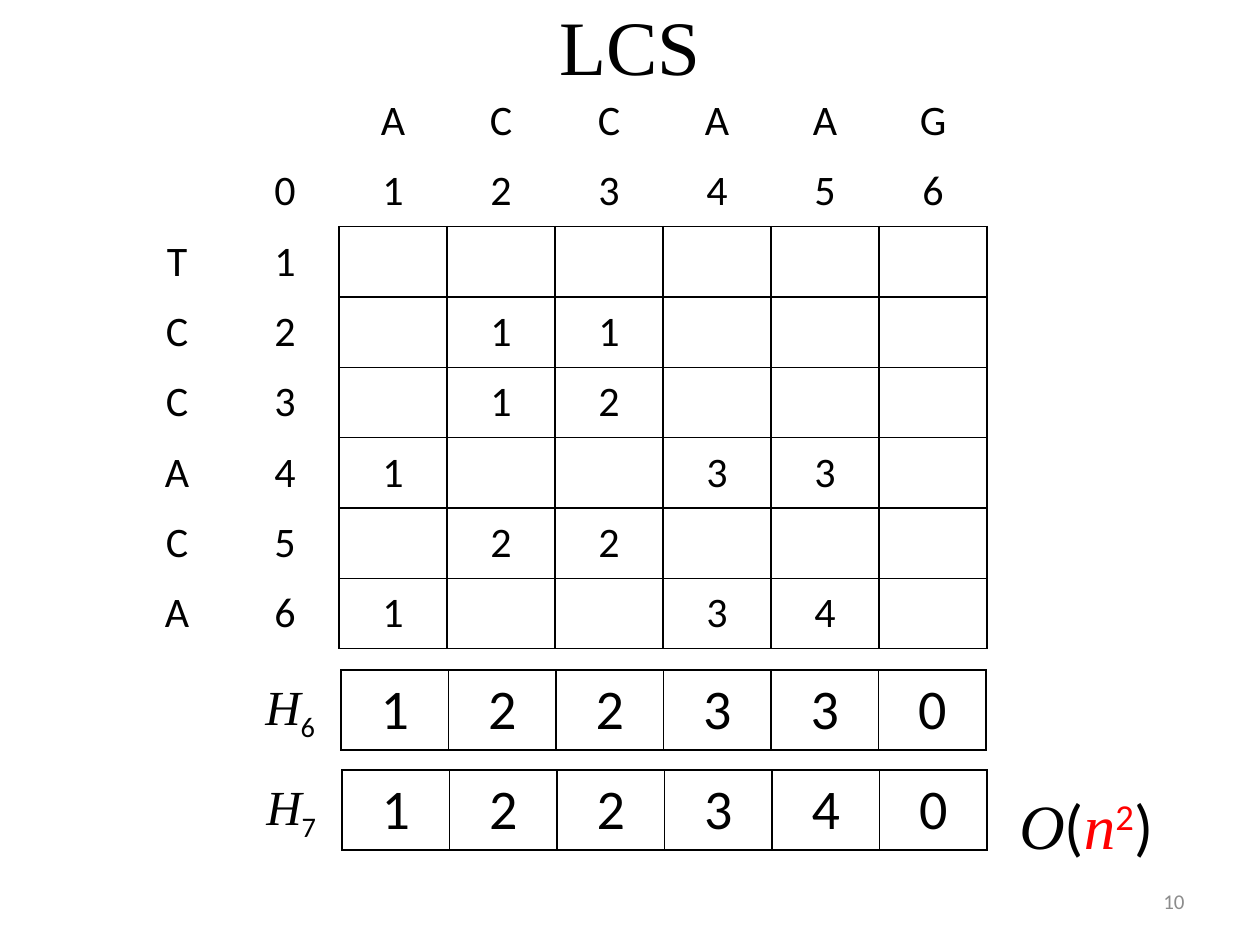
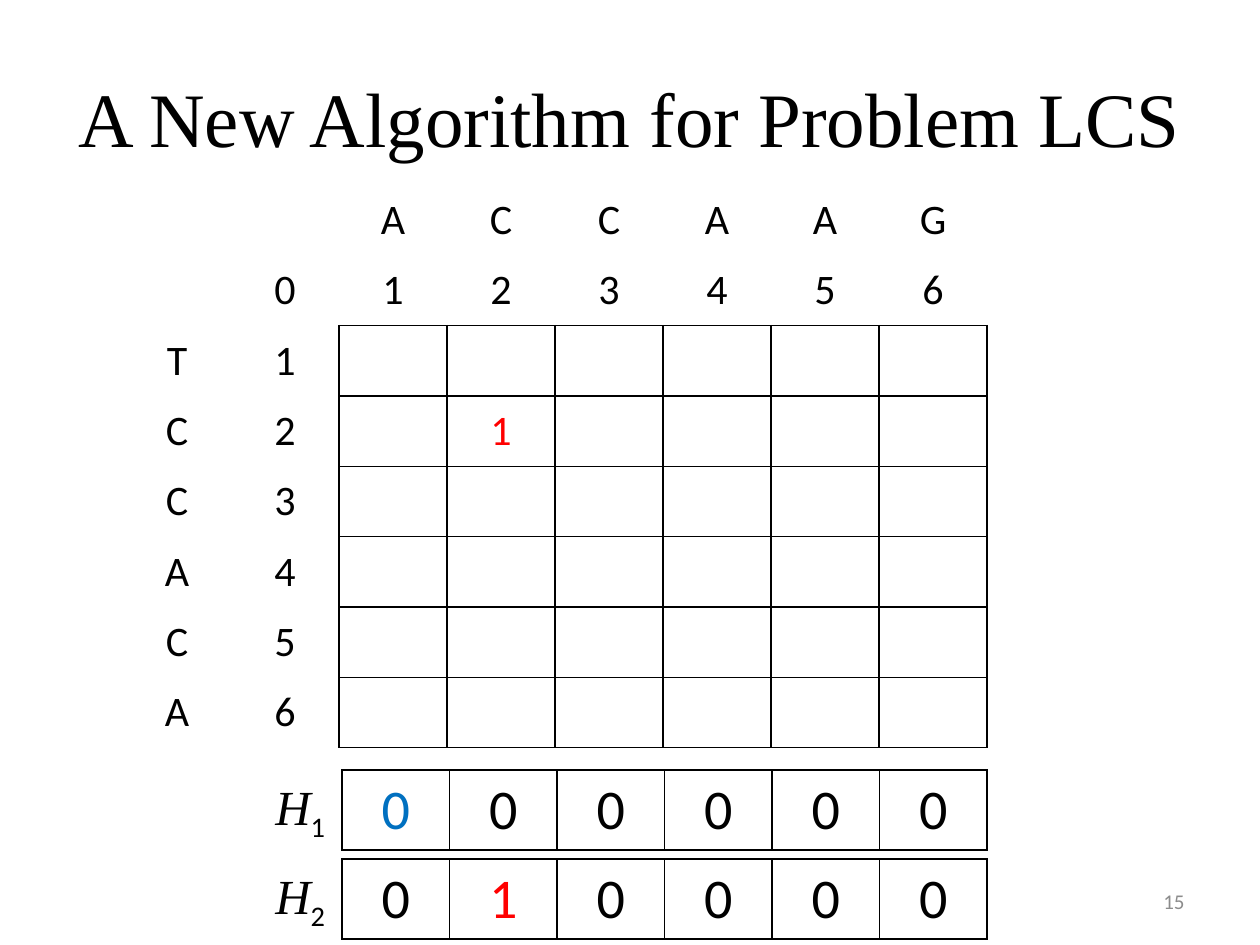
import pptx
import pptx.dml.color
import pptx.enum.text
import pptx.oxml
import pptx.oxml.ns
import pptx.util

EMU_PER_PX = 914400 / 126
BLACK = pptx.dml.color.RGBColor(0x00, 0x00, 0x00)
WHITE = pptx.dml.color.RGBColor(0xFF, 0xFF, 0xFF)
RED = pptx.dml.color.RGBColor(0xFF, 0x00, 0x00)
BLUE = pptx.dml.color.RGBColor(0x00, 0x70, 0xC0)
GRAY = pptx.dml.color.RGBColor(0x8C, 0x8C, 0x8C)
SERIF, SANS = "Times New Roman", "Calibri"

ALIGN = pptx.enum.text.PP_ALIGN
ANCHOR = pptx.enum.text.MSO_ANCHOR
SIDES = {"lnL": (0, -1), "lnR": (0, 1), "lnT": (-1, 0), "lnB": (1, 0)}

TOP_SEQUENCE, SIDE_SEQUENCE = "ACCAAG", "TCCACA"
EMPTY = "-"  # marks a cell without a value


def px(length):
    return pptx.util.Emu(round(length * EMU_PER_PX))


def style_font(font, size, name, color=BLACK, italic=False):
    font.size = pptx.util.Pt(size)
    font.name = name
    font.color.rgb = color
    font.italic = italic


def add_text_box(slide, box, anchor=ANCHOR.TOP, wrap=True):
    """Add an empty text box and return its frame."""
    frame = slide.shapes.add_textbox(*map(px, box)).text_frame
    frame.word_wrap = wrap
    frame.vertical_anchor = anchor
    return frame


def add_line(slide, box, text, size, name, color, align):
    """Add one line of evenly styled text, centred vertically."""
    paragraph = add_text_box(slide, box, ANCHOR.MIDDLE).paragraphs[0]
    paragraph.text = text
    paragraph.alignment = align
    style_font(paragraph.font, size, name, color)


def add_formula(slide, box, size, parts, wrap=True):
    """Add a formula from (text, font, color, baseline percent) parts."""
    frame = add_text_box(slide, box, wrap=wrap)
    frame.auto_size = pptx.enum.text.MSO_AUTO_SIZE.SHAPE_TO_FIT_TEXT
    for text, name, color, baseline in parts:
        run = frame.paragraphs[0].add_run()
        run.text = text
        style_font(run.font, size, name, color, italic=name == SERIF)
        if baseline:
            run._r.get_or_add_rPr().set("baseline", str(baseline * 1000))


def set_border(cell, side, visible):
    fill = f'<a:solidFill><a:srgbClr val="{BLACK}"/></a:solidFill>' if visible else "<a:noFill/>"
    namespace = pptx.oxml.ns.nsdecls("a")
    cell._tc.get_or_add_tcPr().append(
        pptx.oxml.parse_xml(f'<a:{side} {namespace} w="12700">{fill}</a:{side}>'))


def add_grid(slide, box, rows, size, headers=0, accents=None):
    """Add a table whose first `headers` rows and columns have no frame."""
    accents = accents or {}
    left, top, width, height = map(px, box)
    row_count, column_count = len(rows), len(rows[0])
    table = slide.shapes.add_table(row_count, column_count, left, top, width, height).table
    table.first_row = table.horz_banding = False

    def is_framed(row, column):
        return headers <= row < row_count and headers <= column < column_count

    for row, values in enumerate(rows):
        for column, value in enumerate(values):
            cell = table.cell(row, column)
            for side, (down, right) in SIDES.items():
                neighbour = is_framed(row + down, column + right)
                set_border(cell, side, is_framed(row, column) or neighbour)
            cell.fill.solid()
            cell.fill.fore_color.rgb = WHITE
            cell.vertical_anchor = ANCHOR.MIDDLE
            if value != EMPTY:
                paragraph = cell.text_frame.paragraphs[0]
                paragraph.text = value
                paragraph.alignment = ALIGN.CENTER
                style_font(paragraph.font, size, SANS, accents.get((row, column), BLACK))


def add_score_matrix(slide, top, scores, accents=None):
    """Add the scores with both sequences and their positions around them."""
    rows = [EMPTY * 2 + TOP_SEQUENCE, EMPTY + "0123456"]
    for position, (letter, values) in enumerate(zip(SIDE_SEQUENCE, scores), start=1):
        rows.append(f"{letter}{position}{values}")
    add_grid(slide, (123, top, 864, 563), rows, 24, headers=2, accents=accents)


def add_history(slide, box, label_offset, index, values, accents=None):
    """Add one row H of best values with its label to the left."""
    left, top, width, height = box
    add_grid(slide, box, [values], 32, accents=accents)
    add_formula(slide, (left - label_offset, top, 78, 72), 28,
                [("H", SERIF, BLACK, 0), (index, SANS, BLACK, -25)], wrap=False)


def add_base_slide(presentation, title, title_top, number):
    """Add a slide with its title and slide number."""
    slide = presentation.slides.add_slide(presentation.slide_layouts[6])
    add_line(slide, (63, title_top, 1134, 158), title, 44, SERIF, BLACK, ALIGN.CENTER)
    add_line(slide, (903, 876, 294, 50), number, 12, SANS, GRAY, ALIGN.RIGHT)
    return slide


def add_full_matrix_slide(presentation):
    slide = add_base_slide(presentation, "LCS", -34, "10")
    add_score_matrix(slide, 86, ["------", "-11---", "-12---", "1--33-", "-22---", "1--34-"])
    add_history(slide, (341, 670, 645, 80), 88, "6", "122330")
    add_history(slide, (342, 770, 645, 80), 88, "7", "122340")
    # Running time
    add_formula(slide, (1007, 780, 218, 89), 36, [
        ("O", SERIF, BLACK, 0), ("(", SANS, BLACK, 0), ("n", SERIF, RED, 0),
        ("2", SANS, RED, 30), (")", SANS, BLACK, 0)])


def add_first_match_slide(presentation):
    slide = add_base_slide(presentation, "A New Algorithm for Problem LCS", 38, "15")
    no_match = EMPTY * len(TOP_SEQUENCE)
    add_score_matrix(slide, 185, [no_match, "-1----"] + [no_match] * 4, {(3, 3): RED})
    add_history(slide, (342, 770, 645, 80), 79, "1", "000000", {(0, 0): BLUE})
    add_history(slide, (342, 859, 645, 80), 79, "2", "010000", {(0, 1): RED})


def main():
    presentation = pptx.Presentation()
    presentation.slide_width, presentation.slide_height = px(1260), px(945)
    add_full_matrix_slide(presentation)
    add_first_match_slide(presentation)
    presentation.save("out.pptx")


if __name__ == "__main__":
    main()
